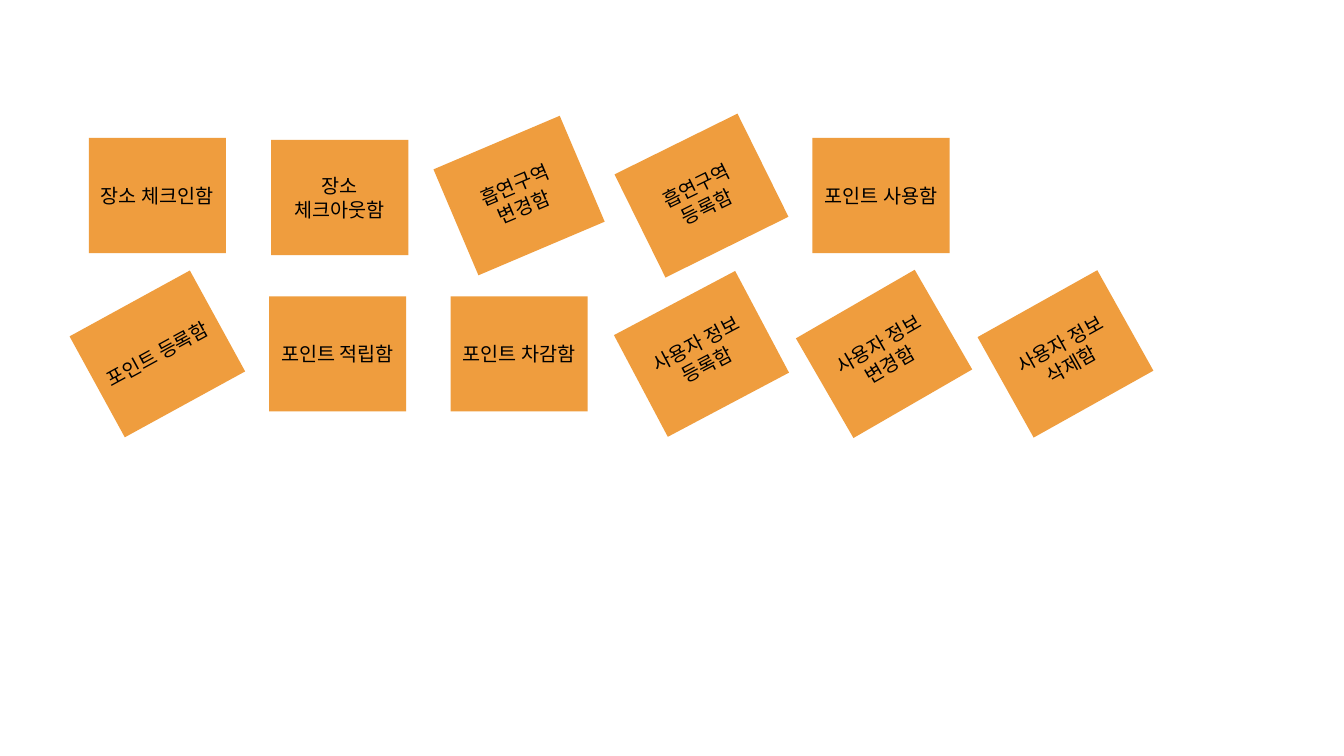
"""Build a slide of orange event notes, some of them tilted, in two rows."""
import pptx
import pptx.util
import pptx.dml.color
import pptx.enum.shapes
import pptx.enum.text
import pptx.oxml
import pptx.oxml.ns

Pt = pptx.util.Pt
FONT = "Noto Sans CJK KR"
ORANGE, BLACK = "EF9D3E", "000000"

ROWS = [
    [("장소 체크인함", 0, 0, 0), ("장소 체크아웃함", 0, 0.6, 1.4),
     ("흡연구역 변경함", 337, -1, 0), ("흡연구역 등록함", 333.7, -0.4, 0),
     ("포인트 사용함", 0, -1.9, 0)],
    [("포인트 등록함", 331.3, 0, 0), ("포인트 적립함", 0, -0.9, 0),
     ("포인트 차감함", 0, -1, 0), ("사용자 정보 등록함", 332.1, -0.4, 0),
     ("사용자 정보 변경함", 330, 0.3, 0), ("사용자 정보 삭제함", 330.8, 0.2, 0)],
]
LEFT, TOP = 63.4, 98.6
STEP, DROP = 129.7, 113.1
WIDE, HIGH = 98, 82.2

FRAME = {"word_wrap": True,
         "vertical_anchor": pptx.enum.text.MSO_ANCHOR.MIDDLE}
TYPE = {"name": FONT, "size": Pt(14)}


def tint(part, color):
    """Give a fill or font a solid colour."""
    fill = getattr(part, "fill", part)
    fill.solid()
    fill.fore_color.rgb = pptx.dml.color.RGBColor.from_string(color)


def style(part, values):
    """Set each attribute from a dict of values."""
    for name, value in values.items():
        setattr(part, name, value)


def note(slide, text, turn, left, top):
    """Add one note with its centred label."""
    card = slide.shapes.add_shape(
        pptx.enum.shapes.MSO_SHAPE.RECTANGLE,
        Pt(left), Pt(top), Pt(WIDE), Pt(HIGH))
    card.rotation = turn
    card.shadow.inherit = False
    tint(card.fill, ORANGE)
    card.line.fill.background()
    style(card.text_frame, FRAME)
    para = card.text_frame.paragraphs[0]
    para.alignment = pptx.enum.text.PP_ALIGN.CENTER
    run = para.add_run()
    run.text = text
    style(run.font, TYPE)
    tint(run.font, BLACK)
    face = pptx.oxml.parse_xml(
        f'<a:ea {pptx.oxml.ns.nsdecls("a")} typeface="{FONT}"/>')
    run.font._element.append(face)


def main():
    """Lay out the notes and save the deck."""
    deck = pptx.Presentation()
    style(deck, {"slide_width": Pt(960), "slide_height": Pt(540)})
    slide = deck.slides.add_slide(deck.slide_layouts[6])
    for row, notes in enumerate(ROWS):
        for col, (text, turn, right, down) in enumerate(notes):
            note(slide, text, turn, LEFT + col * STEP + right,
                 TOP + row * DROP + down)
    deck.save("out.pptx")


main()
